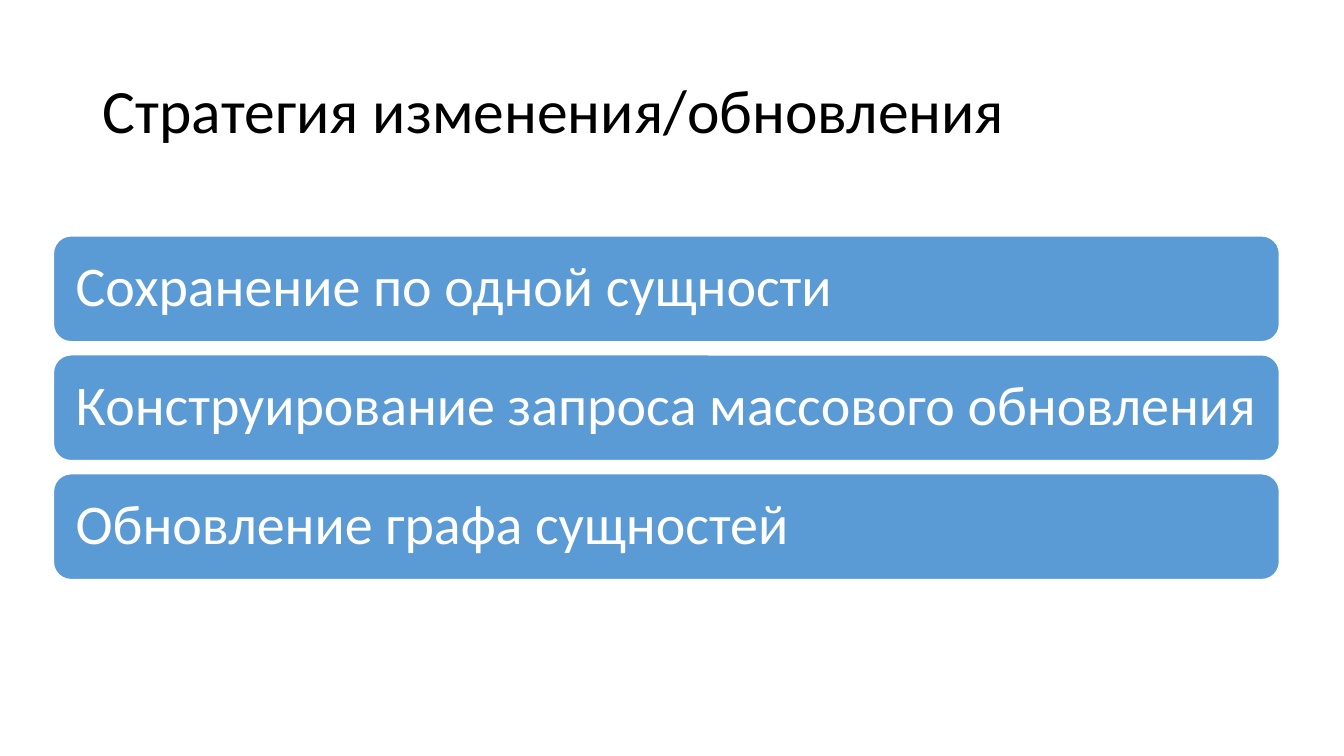
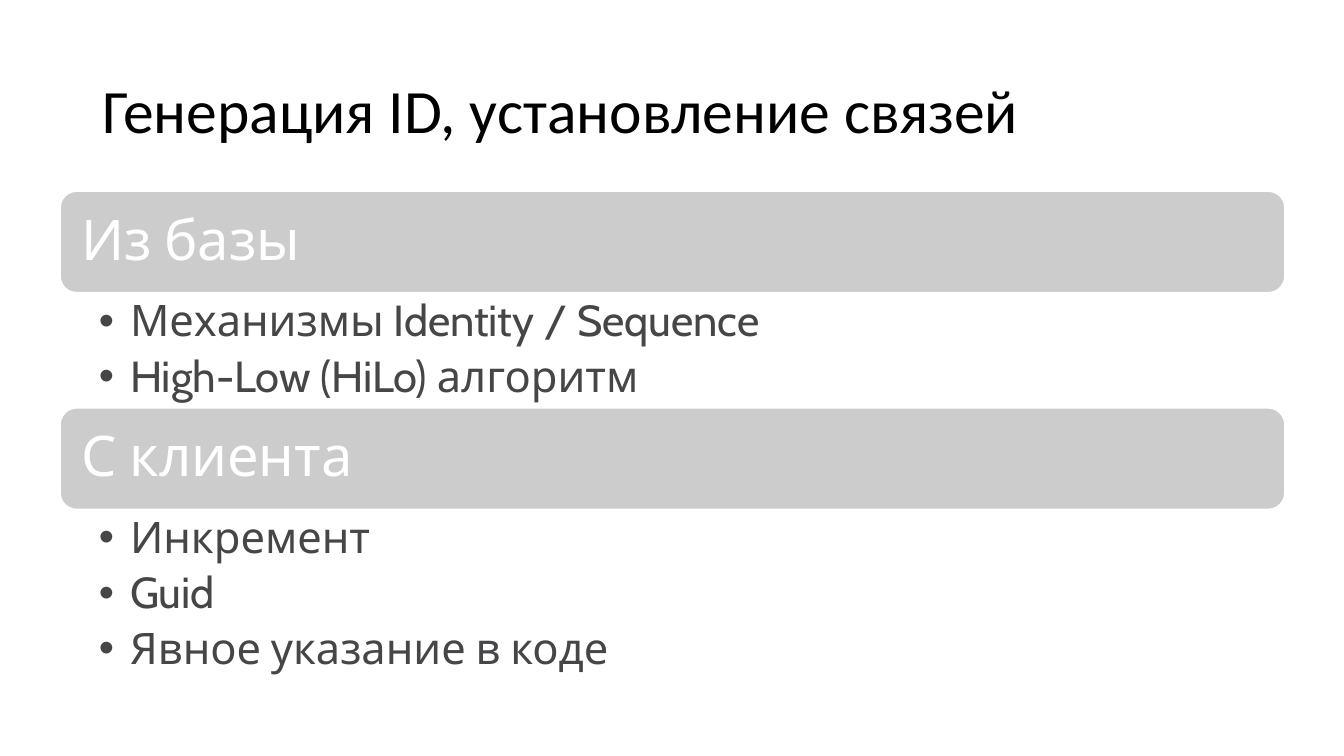
from pptx import Presentation
from pptx.dml.color import RGBColor
from pptx.enum.shapes import MSO_SHAPE
from pptx.enum.text import MSO_ANCHOR, MSO_AUTO_SIZE, PP_ALIGN
from pptx.util import Inches, Pt

COLORS = {"title": "000000", "blue": "5B9BD5", "gray": "CCCCCC",
          "white": "FFFFFF", "body": "464547"}
TITLE_ONLY, TWO_CONTENT = 5, 3
BANNER_WIDTH = 12.16

STRATEGIES = ["Сохранение по одной сущности",
              "Конструирование запроса массового обновления",
              "Обновление графа сущностей"]
ID_SOURCES = [
    ("Из базы", ["Механизмы Identity / Sequence", "High-Low (HiLo) алгоритм"], 1.13),
    ("С клиента", ["Инкремент", "Guid", "Явное указание в коде"], 1.68),
]


def color(name):
    """Return the named colour."""
    return RGBColor.from_string(COLORS[name])


def place(shape, left, top, width, height):
    """Move and size a shape in inches."""
    shape.left, shape.top = Inches(left), Inches(top)
    shape.width, shape.height = Inches(width), Inches(height)


def set_frame(frame, anchor, left, top, right, bottom):
    """Set wrapping, anchor and insets of a text frame."""
    frame.word_wrap = True
    frame.auto_size = MSO_AUTO_SIZE.NONE
    frame.vertical_anchor = anchor
    frame.margin_left, frame.margin_right = Inches(left), Inches(right)
    frame.margin_top, frame.margin_bottom = Inches(top), Inches(bottom)


def style(paragraph, font, size, color_name, space_after=0):
    """Format a left-aligned paragraph."""
    paragraph.alignment = PP_ALIGN.LEFT
    paragraph.line_spacing = 0.9
    paragraph.space_before = Pt(0)
    paragraph.space_after = Pt(space_after)
    paragraph.font.name = font
    paragraph.font.size = Pt(size)
    paragraph.font.color.rgb = color(color_name)


def add_page(deck, layout, title):
    """Add a slide with the shared title style."""
    page = deck.slides.add_slide(deck.slide_layouts[layout])
    box = page.shapes.title
    place(box, 0.92, 0.4, 11.5, 1.45)
    box.text_frame.text = title
    set_frame(box.text_frame, MSO_ANCHOR.MIDDLE, 0.1, 0.05, 0.1, 0.05)
    style(box.text_frame.paragraphs[0], "Calibri", 44, "title")
    return page


def add_banner(page, text, left, top, height, fill, font, line_width):
    """Add a rounded banner with a heading."""
    banner = page.shapes.add_shape(
        MSO_SHAPE.ROUNDED_RECTANGLE, Inches(left), Inches(top),
        Inches(BANNER_WIDTH), Inches(height))
    banner.shadow.inherit = False
    banner.fill.solid()
    banner.fill.fore_color.rgb = color(fill)
    banner.line.color.rgb = color("white")
    banner.line.width = Pt(line_width)
    banner.text_frame.text = text
    set_frame(banner.text_frame, MSO_ANCHOR.MIDDLE, 0.17, 0.17, 0.1, 0.17)
    style(banner.text_frame.paragraphs[0], font, 40, "white")


def fill_list(box, items, left, top, height):
    """Fill a body placeholder with a bulleted list."""
    place(box, left, top, BANNER_WIDTH, height)
    frame = box.text_frame
    frame.text = "\n".join(items)
    set_frame(frame, MSO_ANCHOR.TOP, 0.39, 0.06, 0.31, 0.06)
    for paragraph in frame.paragraphs:
        style(paragraph, "Cabin", 31, "body", space_after=6)
        properties = paragraph._p.get_or_add_pPr()
        properties.set("marL", str(Inches(0.31)))
        properties.set("indent", str(-Inches(0.31)))


def build_strategies(deck):
    """Build the slide of update strategies."""
    page = add_page(deck, TITLE_ONLY, "Стратегия изменения/обновления")
    height, gap = 1.05, 0.13
    for row, text in enumerate(STRATEGIES):
        add_banner(page, text, 0.53, 2.34 + row * (height + gap), height,
                   "blue", "Calibri", 1)


def build_id_sources(deck):
    """Build the slide of identifier sources."""
    page = add_page(deck, TWO_CONTENT, "Генерация ID, установление связей")
    left, top, height = 0.59, 1.89, 1.02
    for index, (heading, items, list_height) in enumerate(ID_SOURCES, start=1):
        add_banner(page, heading, left, top, height, "gray", "Cabin", 2)
        fill_list(page.placeholders[index], items, left, top + height, list_height)
        top += height + list_height


def main():
    """Build and save the deck."""
    deck = Presentation()
    deck.slide_width, deck.slide_height = Inches(13.33), Inches(7.5)
    build_strategies(deck)
    build_id_sources(deck)
    deck.save("out.pptx")


if __name__ == "__main__":
    main()
